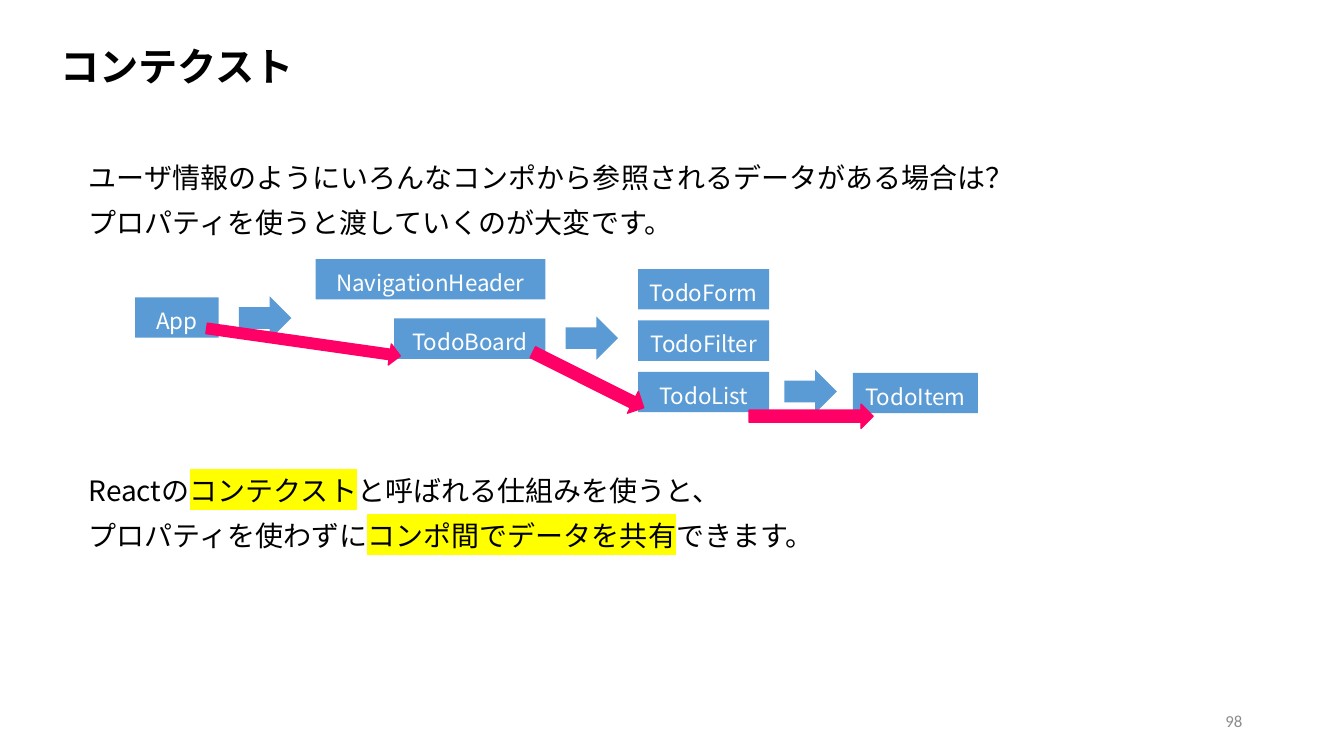
import pptx
import pptx.dml.color
import pptx.enum.shapes
import pptx.enum.text
import pptx.oxml.ns
import pptx.util
from lxml import etree

PX = 9144  # one px is a hundredth of an inch
BLACK = pptx.dml.color.RGBColor(0x00, 0x00, 0x00)
WHITE = pptx.dml.color.RGBColor(0xFF, 0xFF, 0xFF)
GRAY = pptx.dml.color.RGBColor(0x8C, 0x8C, 0x8C)
BLUE = pptx.dml.color.RGBColor(0x5B, 0x9B, 0xD5)
PINK = pptx.dml.color.RGBColor(0xFF, 0x00, 0x66)
YELLOW = pptx.dml.color.RGBColor(0xFF, 0xFF, 0x00)
JAPANESE = "Noto Sans CJK JP"
SHAPE = pptx.enum.shapes.MSO_SHAPE
ALIGN = pptx.enum.text.PP_ALIGN
MIDDLE = pptx.enum.text.MSO_ANCHOR.MIDDLE
Pt = pptx.util.Pt


def to_emu(box):
    return [length * PX for length in box]


def style_span(span, size, color, font=JAPANESE, bold=False, highlight=None):
    span.font.size = Pt(size)
    span.font.bold = bold
    span.font.color.rgb = color
    span.font.name = font
    properties = span.font._element
    east_asian = etree.SubElement(properties, pptx.oxml.ns.qn("a:ea"))
    east_asian.set("typeface", font)
    if highlight is not None:
        marker = etree.Element(pptx.oxml.ns.qn("a:highlight"))
        etree.SubElement(marker, pptx.oxml.ns.qn("a:srgbClr")).set("val", str(highlight))
        properties.find(pptx.oxml.ns.qn("a:latin")).addprevious(marker)


def add_text_frame(page, box):
    frame = page.shapes.add_textbox(*to_emu(box)).text_frame
    frame.word_wrap = True
    return frame


def add_title(page, box):
    para = add_text_frame(page, box).paragraphs[0]
    para.text = "コンテクスト"
    style_span(para.runs[0], 28, BLACK, bold=True)


def add_body(page, box):
    # Each line is a list of spans; every second span is highlighted
    lines = [
        ["ユーザ情報のようにいろんなコンポから参照されるデータがある場合は？"],
        ["プロパティを使うと渡していくのが大変です。"],
        ["Reactの", "コンテクスト", "と呼ばれる仕組みを使うと、"],
        ["プロパティを使わずに", "コンポ間でデータを共有", "できます。"],
    ]
    frame = add_text_frame(page, box)
    for index, line in enumerate(lines):
        para = frame.add_paragraph() if index else frame.paragraphs[0]
        para.line_spacing = Pt(32)
        for position, words in enumerate(line):
            span = para.add_run()
            span.text = words
            style_span(span, 20, BLACK, highlight=YELLOW if position % 2 else None)
    # Room for the component diagram
    frame.paragraphs[2].space_before = Pt(5 * 32)


def add_filled_shape(page, kind, box, color):
    shape = page.shapes.add_shape(kind, *to_emu(box))
    shape.shadow.inherit = False
    shape.fill.solid()
    shape.fill.fore_color.rgb = color
    shape.line.fill.background()
    return shape


def add_component_diagram(page, box):
    left, top = box[:2]

    # Components
    components = [
        ("App", 0, 38, 83),
        ("NavigationHeader", 179, 0, 228),
        ("TodoBoard", 257, 59, 150),
        ("TodoItem", 712, 113, 124),
    ]
    for row, name in enumerate(["TodoForm", "TodoFilter", "TodoList"]):
        components.append((name, 499, 10 + 51 * row, 130))
    for name, x, y, width in components:
        shape = add_filled_shape(page, SHAPE.RECTANGLE, (left + x, top + y, width, 40), BLUE)
        shape.text_frame.vertical_anchor = MIDDLE
        para = shape.text_frame.paragraphs[0]
        para.text = name
        para.alignment = ALIGN.CENTER
        para.line_spacing = Pt(24)
        style_span(para.runs[0], 16, WHITE)

    # Parent to child arrows
    for x, y in [(103, 37), (427, 57), (644, 110)]:
        add_filled_shape(page, SHAPE.RIGHT_ARROW, (left + x, top + y, 52, 43), BLUE)

    # Path of the properties
    for x, y, width, height, angle in [
        (70, 72, 194, 21, 8.1),
        (388, 108, 123, 24, 26.6),
        (609, 144, 123, 24, 0),
    ]:
        arrow = add_filled_shape(page, SHAPE.RIGHT_ARROW, (left + x, top + y, width, height), PINK)
        arrow.rotation = angle
        arrow.line.color.rgb = PINK
        arrow.line.width = Pt(1)


def add_page_number(page, box):
    frame = add_text_frame(page, box)
    frame.vertical_anchor = MIDDLE
    para = frame.paragraphs[0]
    para.text = "98"
    para.alignment = ALIGN.RIGHT
    style_span(para.runs[0], 12, GRAY, font="Calibri")


def main():
    deck = pptx.Presentation()
    deck.slide_width, deck.slide_height = to_emu((1333, 750))
    page = deck.slides.add_slide(deck.slide_layouts[6])
    add_body(page, (78, 143, 1191, 408))
    add_title(page, (50, 37, 919, 57))
    add_component_diagram(page, (134, 257, 836, 168))
    add_page_number(page, (942, 695, 300, 40))
    deck.save("out.pptx")


if __name__ == "__main__":
    main()
